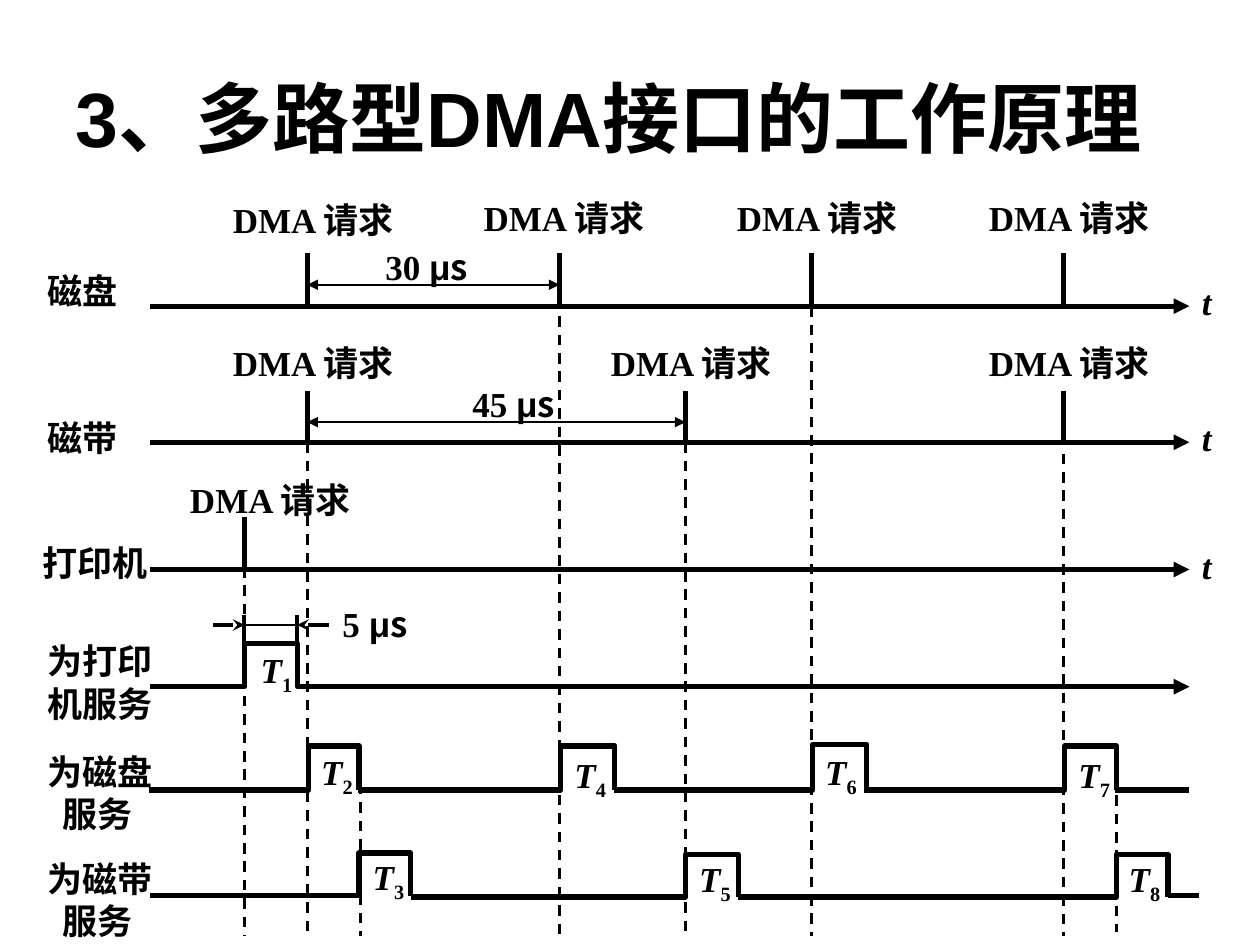
from typing import NamedTuple

from lxml.etree import SubElement
from pptx import Presentation
from pptx.dml.color import RGBColor
from pptx.enum.dml import MSO_LINE_DASH_STYLE as Dash
from pptx.enum.shapes import MSO_CONNECTOR as Conn
from pptx.enum.text import MSO_ANCHOR as Anchor, MSO_AUTO_SIZE as AutoSize, PP_ALIGN as Align
from pptx.oxml.ns import qn
from pptx.util import Inches, Pt

BLACK = "000000"
SERIF, SANS, CJK = "Times New Roman", "Arial", "Noto Sans CJK SC"
AXIS_X, AXIS_END = 1.19, 9.44
LABEL_X = 0.28
LINE_H = 0.44


class Run(NamedTuple):
    text: str
    font: str = SERIF
    italic: bool = False
    baseline: int = 0


class Device(NamedTuple):
    name: str
    name_x: float
    name_y: float
    axis_y: float
    tick_y: float
    ticks: tuple
    requests: tuple


class Period(NamedTuple):
    value: str
    start: float
    end: float
    y: float
    text_x: float
    text_y: float


class Pulse(NamedTuple):
    number: int
    start: float
    rise: float
    fall: float
    base: float
    top: float
    text_x: float
    text_y: float


class Service(NamedTuple):
    lines: tuple
    y: float
    indent: float


class Dashed(NamedTuple):
    x: float
    top: float
    bottom: float = 7.43


DEVICES = [
    Device("打印机", 0.24, 4.25, 4.52, 4.1, (1.94,), ((1.41, 3.75),)),
    Device("磁带", LABEL_X, 3.26, 3.51, 3.1, (2.44, 5.44, 8.44),
           ((1.75, 2.66), (4.75, 2.66), (7.75, 2.66))),
    Device("磁盘", LABEL_X, 2.09, 2.43, 2.01, (2.44, 4.44, 6.44, 8.44),
           ((1.75, 1.53), (3.74, 1.51), (5.75, 1.51), (7.75, 1.51))),
]
PERIODS = [
    Period("45", 2.44, 5.44, 3.35, 3.65, 2.99),
    Period("30", 2.44, 4.44, 2.26, 2.96, 1.9),
]
PULSES = [
    Pulse(2, 1.18, 2.45, 2.85, 6.27, 5.92, 2.45, 5.91),
    Pulse(4, 2.84, 4.45, 4.88, 6.27, 5.92, 4.46, 5.93),
    Pulse(6, 4.87, 6.45, 6.88, 6.27, 5.91, 6.45, 5.91),
    Pulse(7, 6.86, 8.45, 8.86, 6.27, 5.92, 8.46, 5.93),
    Pulse(3, AXIS_X, 2.85, 3.26, 7.11, 6.77, 2.86, 6.74),
    Pulse(5, 3.26, 5.44, 5.86, 7.12, 6.78, 5.45, 6.76),
    Pulse(8, 5.86, 8.86, 9.27, 7.12, 6.78, 8.86, 6.76),
]
SERVICES = [
    Service(("为打印", "机服务"), 5.03, 0),
    Service(("为磁盘", "服务"), 5.91, 0.12),
    Service(("为磁带", "服务"), 6.76, 0.12),
]
DASHES = [
    Dashed(2.44, 3.51), Dashed(4.44, 2.51), Dashed(6.44, 2.43), Dashed(8.44, 3.6),
    Dashed(5.44, 3.51), Dashed(1.94, 4.5), Dashed(2.86, 5.93), Dashed(8.86, 6.02, 7.4),
]


def color(value: str) -> RGBColor:
    return RGBColor.from_string(value)


def set_font(r, size: float, name: str, italic: bool = False) -> None:
    formats = {"size": Pt(size), "name": name, "bold": True, "italic": italic}
    for key, value in formats.items():
        setattr(r.font, key, value)
    r.font.color.rgb = color(BLACK)
    SubElement(r.font._element, qn("a:ea"), typeface=SANS)


def style_line(line, width: float, head: str = "", tail: str = "", dash=None) -> None:
    line.color.rgb = color(BLACK)
    line.width = Pt(width)
    if dash:
        line.dash_style = dash
    for tag, kind in (("a:headEnd", head), ("a:tailEnd", tail)):
        if kind:
            SubElement(line._get_or_add_ln(), qn(tag), type=kind)


def add_line(s, x1: float, y1: float, x2: float, y2: float, width: float = 3, **ends) -> None:
    c = s.shapes.add_connector(Conn.STRAIGHT, *map(Inches, (x1, y1, x2, y2)))
    style_line(c.line, width, **ends)
    SubElement(c._element.spPr, qn("a:effectLst"))


def add_wave(s, points: list, **ends) -> None:
    start, *rest = [(Inches(x), Inches(y)) for x, y in points]
    builder = s.shapes.build_freeform(*start)
    builder.add_line_segments(rest, close=False)
    sp = builder.convert_to_shape()
    sp.shadow.inherit = False
    sp.fill.background()
    style_line(sp.line, 3, **ends)


def add_text(s, x: float, y: float, w: float, h: float, lines: list, indent: float = 0) -> None:
    tf = s.shapes.add_textbox(*map(Inches, (x, y, w, h))).text_frame
    tf.word_wrap = False
    tf.auto_size = AutoSize.SHAPE_TO_FIT_TEXT
    for i, runs in enumerate(lines):
        p = tf.paragraphs[0] if i == 0 else tf.add_paragraph()
        if i and indent:
            p._p.get_or_add_pPr().set("marL", str(Inches(indent)))
        for run in runs:
            r = p.add_run()
            r.text = run.text
            set_font(r, 20, run.font, run.italic)
            if run.baseline:
                r.font._element.set("baseline", str(run.baseline * 1000))


def add_label(s, x: float, y: float, lines: tuple) -> None:
    add_row_label(s, x, y, lines, 0)


def add_row_label(s, x: float, y: float, lines: tuple, indent: float) -> None:
    width = 0.22 + 0.28 * max(map(len, lines))
    height = 0.1 + 0.34 * len(lines)
    add_text(s, x, y, width, height, [[Run(t)] for t in lines], indent)


def add_duration(s, value: str, x: float, y: float, w: float) -> None:
    add_text(s, x, y, w, LINE_H, [[Run(f"{value} "), Run("μ", SANS), Run("s", CJK)]])


def add_pulse_name(s, number: int, x: float, y: float) -> None:
    add_text(s, x, y, 0.45, 0.48, [[Run("T", italic=True), Run(str(number), baseline=-25)]])


def add_pulse(s, pulse: Pulse) -> None:
    add_wave(s, [(pulse.start, pulse.base), (pulse.rise, pulse.base), (pulse.rise, pulse.top),
                 (pulse.fall, pulse.top), (pulse.fall, pulse.base)])
    add_pulse_name(s, pulse.number, pulse.text_x, pulse.text_y)


def add_printer_service(s) -> None:
    base, top, rise, fall, mark_y = 5.45, 5.11, 1.94, 2.36, 4.96
    add_wave(s, [(AXIS_X, base), (rise, base), (rise, top), (fall, top), (fall, base),
                 (AXIS_END, base)], tail="triangle")
    add_pulse_name(s, 1, 1.97, 5.1)
    for edge, outside in ((rise, rise - 0.25), (fall, fall + 0.25)):
        add_line(s, edge, 4.88, edge, 5.13, 2.25)
        add_line(s, outside, mark_y, edge, mark_y, 2.25, tail="stealth")
    add_line(s, rise, mark_y, fall, mark_y, 0.75)
    add_duration(s, "5", 2.62, 4.73, 0.73)


def add_device(s, device: Device) -> None:
    y = device.axis_y
    add_line(s, AXIS_X, y, AXIS_END, y, tail="triangle")
    for x in device.ticks:
        add_line(s, x, device.tick_y, x, y)
    for x, top in device.requests:
        add_text(s, x, top, 1.56, LINE_H, [[Run("DMA 请求")]])
    add_label(s, device.name_x, device.name_y, (device.name,))
    add_text(s, AXIS_END, y - 0.25, 0.27, LINE_H, [[Run("t", italic=True)]])


def add_title(s, text: str) -> None:
    sp = s.shapes.title
    frame = {"left": 0.5, "top": 0.3, "width": 9, "height": 1.25}
    for key, value in frame.items():
        setattr(sp, key, Inches(value))
    tf = sp.text_frame
    for key, value in {"word_wrap": True, "auto_size": AutoSize.NONE,
                       "vertical_anchor": Anchor.MIDDLE}.items():
        setattr(tf, key, value)
    p = tf.paragraphs[0]
    p.alignment = Align.LEFT
    r = p.add_run()
    r.text = text
    set_font(r, 44, SANS)


def main() -> None:
    prs = Presentation()
    prs.slide_width, prs.slide_height = Inches(10), Inches(7.5)
    s = prs.slides.add_slide(prs.slide_layouts[5])
    add_title(s, "3、多路型DMA接口的工作原理")
    for pulse in PULSES:
        add_pulse(s, pulse)
    add_line(s, 8.85, 6.27, AXIS_END, 6.27)
    add_line(s, 9.27, 7.11, 9.52, 7.11)
    for service in SERVICES:
        add_row_label(s, LABEL_X, service.y, service.lines, service.indent)
    add_printer_service(s)
    for dashed in DASHES:
        add_line(s, dashed.x, dashed.top, dashed.x, dashed.bottom, 1.5, dash=Dash.DASH)
    for device in DEVICES:
        add_device(s, device)
    for period in PERIODS:
        add_line(s, period.start, period.y, period.end, period.y, 1, head="triangle", tail="triangle")
        add_duration(s, period.value, period.text_x, period.text_y, 0.87)
    prs.save("out.pptx")


if __name__ == "__main__":
    main()
